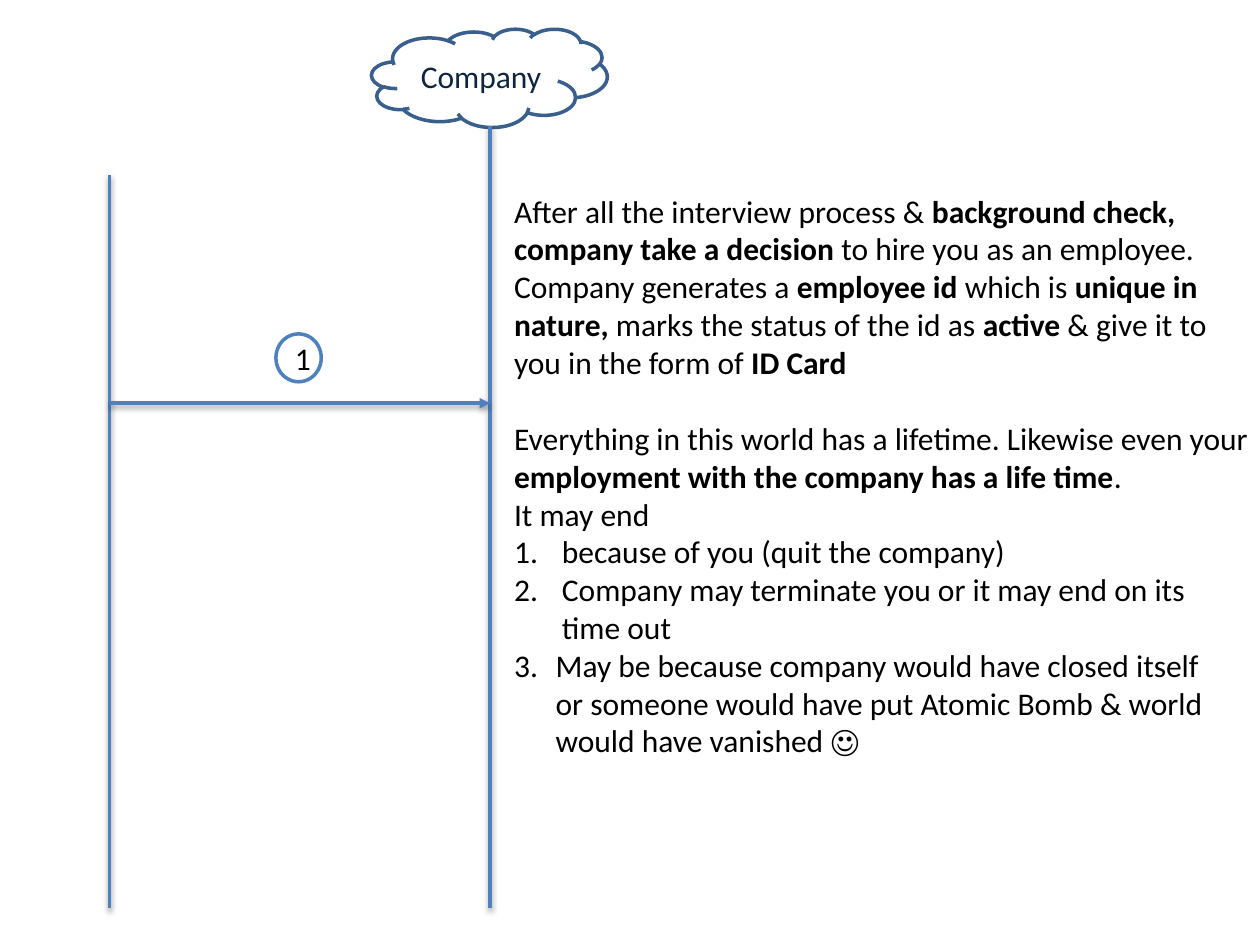
"""Builds the slide that explains how a company hires an employee."""
from dataclasses import dataclass

from lxml import etree
from pptx import Presentation
from pptx import util as u
from pptx.dml.color import RGBColor
from pptx.enum import shapes, text
from pptx.oxml.ns import qn


@dataclass(frozen=True)
class Theme:
    font: str = "Calibri"
    size: int = 18
    stroke: int = 2
    ink: str = "000000"
    navy: str = "0F243E"
    blue: str = "4F81BD"
    dark_blue: str = "3A5F8C"


THEME = Theme()
PERSON_X, COMPANY_X = 0.87, 3.89
BOTTOM_Y, HIRING_Y = 7.21, 3.2

HIRING = (
    "After all the interview process & **background check,\n"
    "company take a decision** to hire you as an employee.\n"
    "Company generates a **employee id** which is **unique in\n"
    "nature,** marks the status of the id as **active** & give it to\n"
    "you in the form of **ID Card**"
)
LIFETIME = (
    "Everything in this world has a lifetime. Likewise even your\n"
    "**employment with the company has a life time**."
)
ENDINGS = [
    ("because of you (quit the company)", 0.38),
    ("Company may terminate you or it may end on its\ntime out", 0.38),
    ("May be because company would have closed itself\n"
     "or someone would have put Atomic Bomb & world\n"
     "would have vanished \u263a", 0.33),
]


def write(para, content, color=THEME.ink, align=text.PP_ALIGN.LEFT, before=0, indent=0):
    para.alignment = align
    para.space_before = u.Pt(before)
    bold = False
    for part_index, part in enumerate(content.split("**")):
        bold = part_index % 2 == 1
        for line_index, line in enumerate(part.split("\n")):
            if line_index:
                para.add_line_break()
            if line:
                span = para.add_run()
                span.text = line
                span.font.name = THEME.font
                span.font.size = u.Pt(THEME.size)
                span.font.bold = bold
                span.font.color.rgb = RGBColor.from_string(color)
    properties = para._p.get_or_add_pPr()
    properties.set("marL", str(u.Inches(indent)))
    properties.set("indent", str(-u.Inches(indent)))
    if indent:
        etree.SubElement(properties, qn("a:buFont"), typeface="+mj-lt")
        etree.SubElement(properties, qn("a:buAutoNum"), type="arabicPeriod")
    else:
        etree.SubElement(properties, qn("a:buNone"))


def place(box, left, top, width, height):
    box.left, box.top = u.Inches(left), u.Inches(top)
    box.width, box.height = u.Inches(width), u.Inches(height)


def set_stroke(item, color):
    item.line.color.rgb = RGBColor.from_string(color)
    item.line.width = u.Pt(THEME.stroke)


def add_label(page, kind, bounds, content, line, color):
    shape = page.shapes.add_shape(kind, *map(u.Inches, bounds))
    shape.shadow.inherit = False
    shape.fill.background()
    set_stroke(shape, line)
    shape.text_frame.vertical_anchor = text.MSO_ANCHOR.MIDDLE
    write(shape.text_frame.paragraphs[0], content, color=color, align=text.PP_ALIGN.CENTER)


def add_line(page, start, end, arrow=False):
    line = page.shapes.add_connector(
        shapes.MSO_CONNECTOR.STRAIGHT, *map(u.Inches, start + end))
    set_stroke(line, THEME.blue)
    if arrow:
        etree.SubElement(line.line._ln, qn("a:tailEnd"), type="triangle")
    effects = etree.SubElement(line._element.spPr, qn("a:effectLst"))
    shadow = etree.SubElement(
        effects, qn("a:outerShdw"), blurRad=str(u.Pt(3.1)), dist=str(u.Pt(1.6)),
        dir="5400000", rotWithShape="0")
    tint = etree.SubElement(shadow, qn("a:srgbClr"), val=THEME.ink)
    etree.SubElement(tint, qn("a:alpha"), val="38000")


def fill_body(body):
    place(body, 3.98, 1.47, 6.16, 4.65)
    frame = body.text_frame
    frame.word_wrap = True
    frame.auto_size = text.MSO_AUTO_SIZE.NONE
    frame.vertical_anchor = text.MSO_ANCHOR.TOP
    write(frame.paragraphs[0], HIRING)
    write(frame.add_paragraph(), LIFETIME, before=22)
    write(frame.add_paragraph(), "It may end")
    for content, indent in ENDINGS:
        write(frame.add_paragraph(), content, indent=indent)


def main():
    deck = Presentation()
    deck.slide_width, deck.slide_height = u.Inches(10), u.Inches(7.5)
    page = deck.slides.add_slide(deck.slide_layouts[1])
    title = page.shapes.title._element
    title.getparent().remove(title)

    add_label(page, shapes.MSO_SHAPE.CLOUD, (2.95, 0.23, 1.87, 0.78),
              "Company", THEME.dark_blue, THEME.navy)
    add_line(page, (PERSON_X, 1.39), (PERSON_X, BOTTOM_Y))
    add_line(page, (COMPANY_X, 1), (COMPANY_X, BOTTOM_Y))
    add_line(page, (PERSON_X, HIRING_Y), (COMPANY_X, HIRING_Y), arrow=True)
    fill_body(page.placeholders[1])
    add_label(page, shapes.MSO_SHAPE.FLOWCHART_CONNECTOR, (2.19, 2.65, 0.36, 0.38),
              "1", THEME.blue, THEME.ink)
    deck.save("out.pptx")


main()
